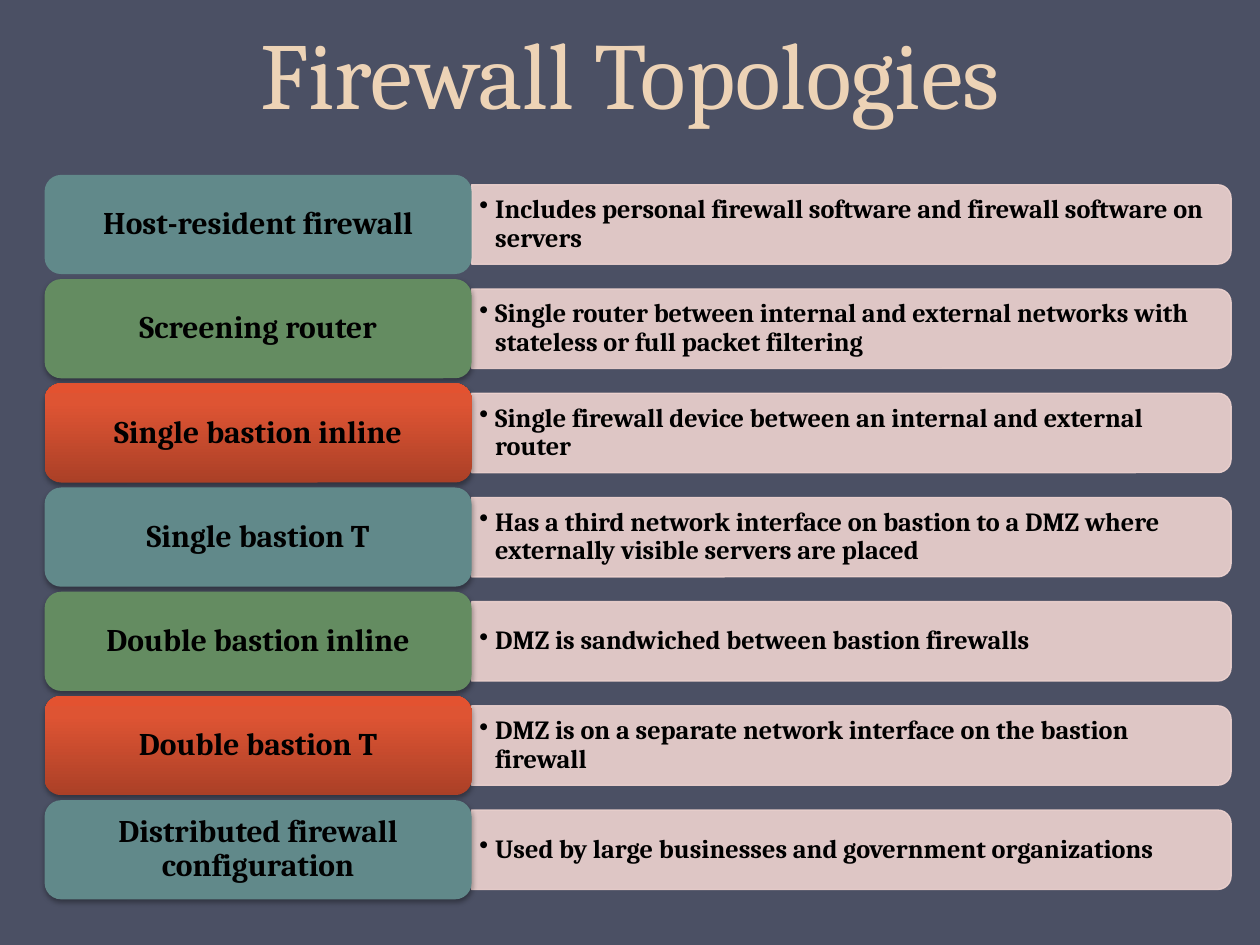
from copy import deepcopy

from lxml.etree import SubElement
from pptx import Presentation
from pptx.dml.color import RGBColor
from pptx.enum.shapes import MSO_SHAPE
from pptx.enum.text import MSO_ANCHOR, PP_ALIGN
from pptx.oxml.ns import qn
from pptx.util import Pt

BACKGROUND = RGBColor(0x4B, 0x50, 0x64)
CREAM = RGBColor(0xED, 0xD3, 0xB6)
BLACK = RGBColor(0x00, 0x00, 0x00)
ROSE = RGBColor(0xEE, 0xD3, 0xD0)
TEAL = RGBColor(0x61, 0x89, 0x8A)
GREEN = RGBColor(0x64, 0x8C, 0x61)
EMBER = [
    (0, RGBColor(0xAB, 0x40, 0x27)),
    (0.8, RGBColor(0xDE, 0x54, 0x33)),
    (1, RGBColor(0xE3, 0x52, 0x30)),
]
LABEL_FILLS = [TEAL, GREEN, EMBER]

TOPOLOGIES = [
    ("Host-resident firewall",
     "Includes personal firewall software and firewall software on servers"),
    ("Screening router",
     "Single router between internal and external networks with stateless or full packet filtering"),
    ("Single bastion inline",
     "Single firewall device between an internal and external router"),
    ("Single bastion T",
     "Has a third network interface on bastion to a DMZ where externally visible servers are placed"),
    ("Double bastion inline",
     "DMZ is sandwiched between bastion firewalls"),
    ("Double bastion T",
     "DMZ is on a separate network interface on the bastion firewall"),
    ("Distributed firewall configuration",
     "Used by large businesses and government organizations"),
]

FIRST_MIDDLE, ROW_PITCH = 128.3, 59.55
LABEL_LEFT, LABEL_WIDTH, LABEL_HEIGHT = 25.5, 244, 56.7
PANEL_LEFT, PANEL_WIDTH, PANEL_HEIGHT = 269.5, 434, 45.4
DETAIL_WIDTH, DETAIL_HEIGHT = 432, 41


class TopologySlide:
    font_name = "Cambria"

    def __init__(self, slide):
        self.slide = slide
        slide.background.fill.solid()
        slide.background.fill.fore_color.rgb = BACKGROUND

    def set_text(self, frame, text, size, color, bold=True, anchor=MSO_ANCHOR.MIDDLE,
                 align=PP_ALIGN.CENTER, spacing=0.9, insets=(7.2, 3.6), bullet=False):
        frame.word_wrap = True
        frame.vertical_anchor = anchor
        frame.margin_left = frame.margin_right = Pt(insets[0])
        frame.margin_top = frame.margin_bottom = Pt(insets[1])
        frame.text = text
        paragraph = frame.paragraphs[0]
        paragraph.alignment = align
        paragraph.line_spacing = spacing
        if bullet:
            paragraph.level = 1
            properties = paragraph._p.get_or_add_pPr()
            properties.set("marL", str(Pt(9)))
            properties.set("indent", str(-Pt(9)))
            SubElement(properties, qn("a:buChar"), char="•")
        font = paragraph.runs[0].font
        font.name, font.size, font.bold = self.font_name, Pt(size), bold
        font.color.rgb = color

    def title(self, text):
        box = self.slide.shapes.add_textbox(0, 0, Pt(720), Pt(77))
        self.set_text(box.text_frame, text, 54, CREAM, bold=False,
                      anchor=MSO_ANCHOR.BOTTOM, spacing=Pt(58))

    def panel(self, middle):
        center = PANEL_LEFT + PANEL_WIDTH / 2
        panel = self.slide.shapes.add_shape(
            MSO_SHAPE.ROUND_2_SAME_RECTANGLE,
            Pt(center - PANEL_HEIGHT / 2), Pt(middle - PANEL_WIDTH / 2),
            Pt(PANEL_HEIGHT), Pt(PANEL_WIDTH))
        panel.rotation = 90
        panel.shadow.inherit = False
        panel.line.width = Pt(0.75)
        for fill in (panel.fill, panel.line.fill):
            fill.solid()
            fill.fore_color.rgb = ROSE
        for color in panel._element.spPr.iter(qn("a:srgbClr")):
            SubElement(color, qn("a:alpha"), val="90000")

    def detail(self, text, middle):
        box = self.slide.shapes.add_textbox(
            Pt(PANEL_LEFT), Pt(middle - DETAIL_HEIGHT / 2),
            Pt(DETAIL_WIDTH), Pt(DETAIL_HEIGHT))
        self.set_text(box.text_frame, text, 15, BLACK, align=PP_ALIGN.LEFT,
                      insets=(4.5, 2.25), bullet=True)

    def label(self, text, middle, fill, shadowed):
        label = self.slide.shapes.add_shape(
            MSO_SHAPE.ROUNDED_RECTANGLE,
            Pt(LABEL_LEFT), Pt(middle - LABEL_HEIGHT / 2),
            Pt(LABEL_WIDTH), Pt(LABEL_HEIGHT))
        label.line.fill.background()
        label.shadow.inherit = False
        if fill is EMBER:
            self.shade(label, fill)
        else:
            label.fill.solid()
            label.fill.fore_color.rgb = fill
        if shadowed:
            self.cast_shadow(label)
        self.set_text(label.text_frame, text, 18, BLACK, insets=(5.4, 2.7))

    def shade(self, shape, stops):
        shape.fill.gradient()
        shape.fill.gradient_angle = 90
        stop_list = next(shape._element.spPr.iter(qn("a:gsLst")))
        stop_list.append(deepcopy(stop_list[0]))
        for stop, (position, color) in zip(shape.fill.gradient_stops, stops):
            stop.position = position
            stop.color.rgb = color

    def cast_shadow(self, shape):
        effects = shape._element.spPr.find(qn("a:effectLst"))
        shadow = SubElement(effects, qn("a:outerShdw"), blurRad=str(Pt(3.1)),
                            dist=str(Pt(1.8)), dir="5400000", rotWithShape="0")
        color = SubElement(shadow, qn("a:srgbClr"), val=str(BLACK))
        SubElement(color, qn("a:alpha"), val="35000")


def main():
    presentation = Presentation()
    presentation.slide_width, presentation.slide_height = Pt(720), Pt(540)
    page = TopologySlide(presentation.slides.add_slide(presentation.slide_layouts[6]))
    page.title("Firewall Topologies")
    for row, (topology, description) in enumerate(TOPOLOGIES):
        middle = FIRST_MIDDLE + row * ROW_PITCH
        page.panel(middle)
        page.detail(description, middle)
        page.label(topology, middle, LABEL_FILLS[row % len(LABEL_FILLS)], shadowed=row > 0)
    presentation.save("out.pptx")


if __name__ == "__main__":
    main()
